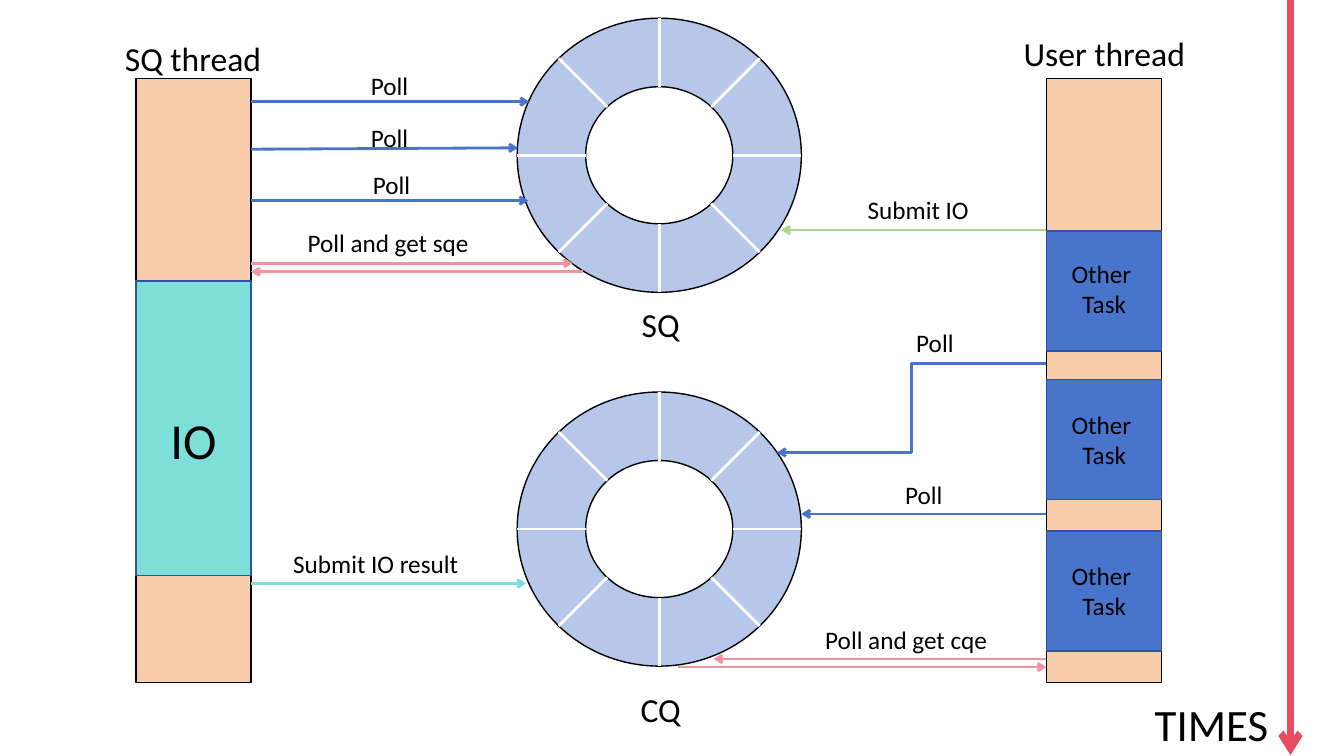
from math import cos, pi, sin

from lxml import etree
from pptx import Presentation
from pptx.dml.color import RGBColor
from pptx.enum.shapes import MSO_CONNECTOR, MSO_SHAPE
from pptx.enum.text import MSO_AUTO_SIZE, PP_ALIGN
from pptx.oxml.ns import qn
from pptx.util import Pt

STRAIGHT, ELBOW = MSO_CONNECTOR.STRAIGHT, MSO_CONNECTOR.ELBOW
BOX, DONUT = MSO_SHAPE.FLOWCHART_PROCESS, MSO_SHAPE.DONUT
LEFT, CENTER, RIGHT = PP_ALIGN.LEFT, PP_ALIGN.CENTER, PP_ALIGN.RIGHT
GROW = MSO_AUTO_SIZE.SHAPE_TO_FIT_TEXT

BLACK = RGBColor(0x00, 0x00, 0x00)
WHITE = RGBColor(0xFF, 0xFF, 0xFF)
PALE = RGBColor(0xB6, 0xC7, 0xEA)
PEACH = RGBColor(0xF8, 0xCD, 0xAC)
BLUE = RGBColor(0x48, 0x74, 0xCB)
NAVY = RGBColor(0x2E, 0x54, 0xA1)
TEAL = RGBColor(0x7D, 0xDF, 0xD7)
GREEN = RGBColor(0xAC, 0xD7, 0x8E)
PINK = RGBColor(0xEF, 0x94, 0x9E)
RED = RGBColor(0xE5, 0x4C, 0x5E)

FONT = "Calibri"
RING_W, RING_H, RING_X = 203, 195.8, 369.4
HOLE = 0.25  # band width as a share of the ring's shorter side
BAR_W, BAR_TOP, BAR_H = 82.1, 56.2, 431.3
SQ_X, USER_X = 97.2, 747.4
SQ_EDGE = SQ_X + BAR_W


def add_text(slide, text, left, top, width, height=28.8, size=18, align=CENTER):
    box = slide.shapes.add_textbox(Pt(left), Pt(top), Pt(width), Pt(height))
    frame = box.text_frame
    frame.word_wrap = True
    frame.auto_size = GROW
    frame.text = text
    for para in frame.paragraphs:
        para.alignment = align
        para.font.size = Pt(size)
        para.font.name = FONT
        para.font.color.rgb = BLACK


def add_block(slide, kind, left, top, width, height, fill, edge=BLACK):
    block = slide.shapes.add_shape(kind, Pt(left), Pt(top), Pt(width), Pt(height))
    block.shadow.inherit = False
    block.fill.solid()
    block.fill.fore_color.rgb = fill
    block.line.color.rgb = edge
    block.line.width = Pt(1)
    return block


def add_line(slide, start, end, color, width=2, kind=STRAIGHT):
    line = slide.shapes.add_connector(kind, *map(Pt, start + end))
    line.line.color.rgb = color
    line.line.width = Pt(width)
    etree.SubElement(line._element.spPr, qn("a:effectLst"))
    return line


def add_arrow(slide, start, end, color, width=2, kind=STRAIGHT):
    """Draw a line with an open arrowhead at its end."""
    line = add_line(slide, start, end, color, width, kind)
    etree.SubElement(line.line._get_or_add_ln(), qn("a:tailEnd"), type="arrow")


def add_ring(slide, top):
    """Draw a ring buffer cut into eight equal slots."""
    ring = add_block(slide, DONUT, RING_X, top, RING_W, RING_H, PALE)
    ring.adjustments[0] = HOLE
    mid_x, mid_y = RING_X + RING_W / 2, top + RING_H / 2
    band = HOLE * RING_H

    def rim(angle, inset):
        return (mid_x + (RING_W / 2 - inset) * cos(angle),
                mid_y + (RING_H / 2 - inset) * sin(angle))

    for slot in range(8):
        angle = slot * pi / 4
        add_line(slide, rim(angle, 0), rim(angle, band), WHITE)


def add_threads(slide):
    for left in (USER_X, SQ_X):
        add_block(slide, BOX, left, BAR_TOP, BAR_W, BAR_H, PEACH)
    for row, top in enumerate((165, 271.2, 379.2)):
        add_block(slide, BOX, USER_X, top, BAR_W, 85.8, BLUE, NAVY)
        add_text(slide, "Other \nTask", 756.7, 180.7 + row * 108, 64.1, 50.9)
    add_text(slide, "SQ thread", 74.2, 23.2, 127.4, 36.3, size=24)
    add_text(slide, "User thread", 704.2, 20.3, 169.2, 36.3, size=24)


def add_calls(slide):
    """Draw the arrows between threads and rings, with their labels."""
    arrows = (
        ((SQ_EDGE, 72.6), (378, 72.6), BLUE),
        ((SQ_EDGE, 106.6), (370, 105.6), BLUE),
        ((SQ_EDGE, 143.3), (377.3, 143.3), BLUE),
        ((SQ_EDGE, 188), (409, 188), PINK),
        ((416.2, 194.1), (SQ_EDGE, 194.1), PINK),
        ((SQ_EDGE, 416.8), (375.8, 416.8), TEAL),
        ((USER_X, 164.3), (558, 164.3), GREEN),
        ((USER_X, 367.1), (572.4, 367.1), BLUE),
        ((USER_X, 470.7), (509.8, 470.7), PINK),
        ((484.6, 476.5), (USER_X, 476.5), PINK),
    )
    for start, end, color in arrows:
        add_arrow(slide, start, end, color)
    add_arrow(slide, (USER_X, 259.7), (555.1, 323.2), BLUE, kind=ELBOW)

    polls = ((254.9, 46.8), (254.9, 83.5), (256.3, 117.4),
             (644.4, 230.6), (636.5, 339.1))
    for left, top in polls:
        add_text(slide, "Poll", left, top, 46.8)
    add_text(slide, "Poll and get sqe", 187.9, 159.1, 178.6)
    add_text(slide, "Poll and get cqe", 558, 442.1, 178.6)
    add_text(slide, "Submit IO", 612.7, 135.4, 90.7, align=LEFT)
    add_text(slide, "Submit IO result", 202.3, 388.1, 149.8, align=LEFT)


def main():
    deck = Presentation()
    deck.slide_width, deck.slide_height = Pt(960), Pt(540)
    slide = deck.slides.add_slide(deck.slide_layouts[6])

    for name, top, label in (("SQ", 13, 213.8), ("CQ", 280, 488.2)):
        add_ring(slide, top)
        add_text(slide, name, 432.7, label, 78.5, 36.3, size=24)
    add_threads(slide)
    add_calls(slide)

    add_block(slide, BOX, SQ_X, 200.7, BAR_W, 210.2, TEAL, NAVY)
    add_text(slide, "IO", SQ_X, 288.7, BAR_W, 50.9, size=36)

    add_arrow(slide, (921.8, 0), (921.8, 539.3), RED, width=5)
    add_text(slide, "TIMES", 815.8, 493.9, 97.2, 46, size=32, align=RIGHT)
    deck.save("out.pptx")


if __name__ == "__main__":
    main()
